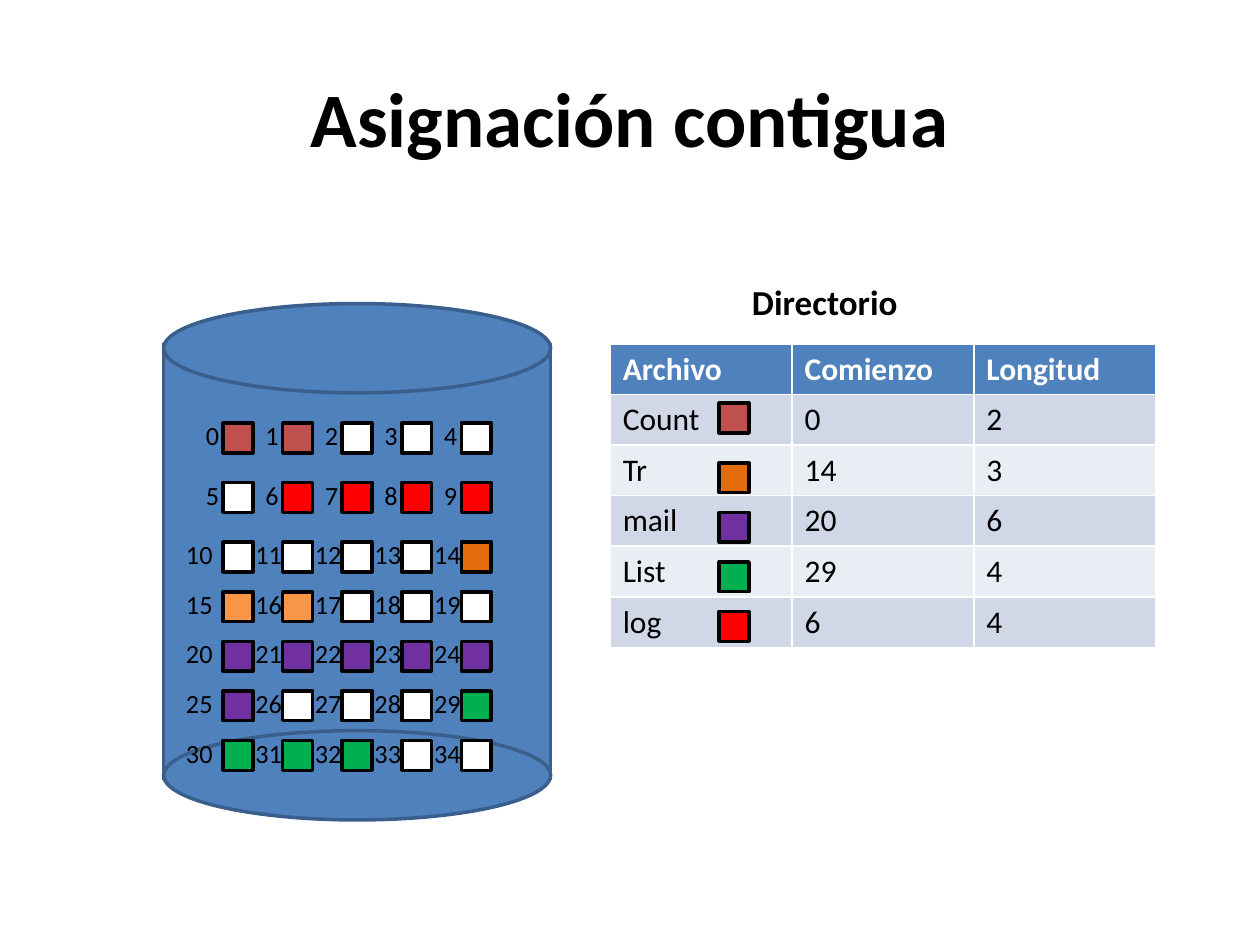
from dataclasses import dataclass

from pptx import Presentation
from pptx.dml.color import RGBColor
from pptx.enum import shapes, text
from pptx.util import Cm, Pt


@dataclass(frozen=True)
class Theme:
    font: str = "Calibri"
    title_size: int = 44
    heading_size: int = 20
    table_size: int = 18
    label_size: int = 15
    ink: str = "000000"
    paper: str = "FFFFFF"
    disk: str = "4F81BD"
    disk_line: str = "3A5F8C"
    bands: tuple = ("D0D8E8", "E9EDF4")
    brick: str = "C0504D"
    orange: str = "E46C0A"
    light_orange: str = "F79646"
    purple: str = "7030A0"
    green: str = "00B050"
    red: str = "FF0000"


THEME = Theme()
HEADINGS = ("Archivo", "Comienzo", "Longitud")
# name, first block, number of blocks, colour
FILES = (
    ("Count", 0, 2, THEME.brick),
    ("Tr", 14, 3, THEME.orange),
    ("mail", 20, 6, THEME.purple),
    ("List", 29, 4, THEME.green),
    ("log", 6, 4, THEME.red),
)
BLOCK = 0.6
COLUMNS = 5
COLUMN_STEP = 1.2
GRID_LEFT = 4.5
ROW_TOPS = (8.53, 9.73, 10.93, 11.93, 12.93, 13.93, 14.93)
KEY_TOPS = (8.13, 9.33, 10.33, 11.33, 12.33)


def write(frame, content, size=THEME.label_size, color=THEME.ink, bold=False,
          align=text.PP_ALIGN.LEFT):
    paragraph = frame.paragraphs[0]
    paragraph.alignment = align
    run = paragraph.add_run()
    run.text = content
    run.font.name = THEME.font
    run.font.size = Pt(size)
    run.font.bold = bold
    run.font.color.rgb = RGBColor.from_string(color)


def add_outlined(container, kind, left, top, width, height, fill, line):
    shape = container.add_shape(kind, Cm(left), Cm(top), Cm(width), Cm(height))
    shape.shadow.inherit = False
    shape.fill.solid()
    shape.fill.fore_color.rgb = RGBColor.from_string(fill)
    shape.line.color.rgb = RGBColor.from_string(line)
    shape.line.width = Pt(2)


def add_block(container, left, top, fill):
    add_outlined(container, shapes.MSO_SHAPE.RECTANGLE, left, top, BLOCK, BLOCK,
                 fill, THEME.ink)


def add_label(container, content, left, top, width, height, wrap=False, **style):
    box = container.add_textbox(Cm(left), Cm(top), Cm(width), Cm(height))
    box.text_frame.word_wrap = wrap
    box.text_frame.auto_size = text.MSO_AUTO_SIZE.SHAPE_TO_FIT_TEXT
    write(box.text_frame, content, **style)


def add_title(slide, content):
    title = slide.shapes.title
    title.left, title.top, title.width, title.height = (
        Cm(1.27), Cm(0.76), Cm(22.86), Cm(3.18))
    title.text_frame.vertical_anchor = text.MSO_ANCHOR.MIDDLE
    write(title.text_frame, content, size=THEME.title_size, bold=True,
          align=text.PP_ALIGN.CENTER)


def block_colors():
    colors = {}
    for _, start, length, color in FILES:
        colors.update(dict.fromkeys(range(start, start + length), color))
    # The second row of file Tr is lighter
    colors.update({15: THEME.light_orange, 16: THEME.light_orange})
    return colors


def label_offset(number):
    """Distance from the left edge of a label to that of its block."""
    if number < 10:
        return 0.6
    return 1.0 if number % COLUMNS == 0 else 0.8


def add_disk(slide):
    disk = slide.shapes.add_group_shape().shapes

    # Cylinder: body, then top and bottom faces
    for kind, top, height in (
        (shapes.MSO_SHAPE.RECTANGLE, 6.93, 8.79),
        (shapes.MSO_SHAPE.OVAL, 6.12, 1.8),
        (shapes.MSO_SHAPE.OVAL, 14.73, 1.8),
    ):
        add_outlined(disk, kind, 3.3, top, 7.8, height, THEME.disk, THEME.disk_line)

    # Blocks first, so that every number lies in front
    colors = block_colors()
    places = [(row * COLUMNS + column, GRID_LEFT + column * COLUMN_STEP, top)
              for row, top in enumerate(ROW_TOPS) for column in range(COLUMNS)]
    for number, left, top in places:
        add_block(disk, left, top, colors.get(number, THEME.paper))
    for number, left, top in places:
        add_label(disk, str(number), left - label_offset(number), top - 0.2,
                  0.79 if number < 10 else 1.07, 0.89)


def add_directory(slide):
    rows = [HEADINGS] + [(name, str(start), str(length))
                         for name, start, length, _ in FILES]
    table = slide.shapes.add_table(len(rows), len(HEADINGS), Cm(12.3), Cm(6.93),
                                   Cm(11), Cm(6.12)).table
    for row_index, values in enumerate(rows):
        header = row_index == 0
        fill = THEME.disk if header else THEME.bands[(row_index - 1) % 2]
        for column_index, value in enumerate(values):
            cell = table.cell(row_index, column_index)
            cell.fill.solid()
            cell.fill.fore_color.rgb = RGBColor.from_string(fill)
            write(cell.text_frame, value, size=THEME.table_size, bold=header,
                  color=THEME.paper if header else THEME.ink)

    # Colour key beside the file names
    for (_, _, _, color), top in zip(FILES, KEY_TOPS):
        add_block(slide.shapes, 14.5, top, color)

    add_label(slide.shapes, "Directorio", 14.91, 5.54, 4.8, 1.12, wrap=True,
              size=THEME.heading_size, bold=True)


def main():
    presentation = Presentation()
    presentation.slide_width, presentation.slide_height = Cm(25.4), Cm(19.05)
    slide = presentation.slides.add_slide(presentation.slide_layouts[5])
    add_title(slide, "Asignación contigua")
    add_disk(slide)
    add_directory(slide)
    presentation.save("out.pptx")


if __name__ == "__main__":
    main()
